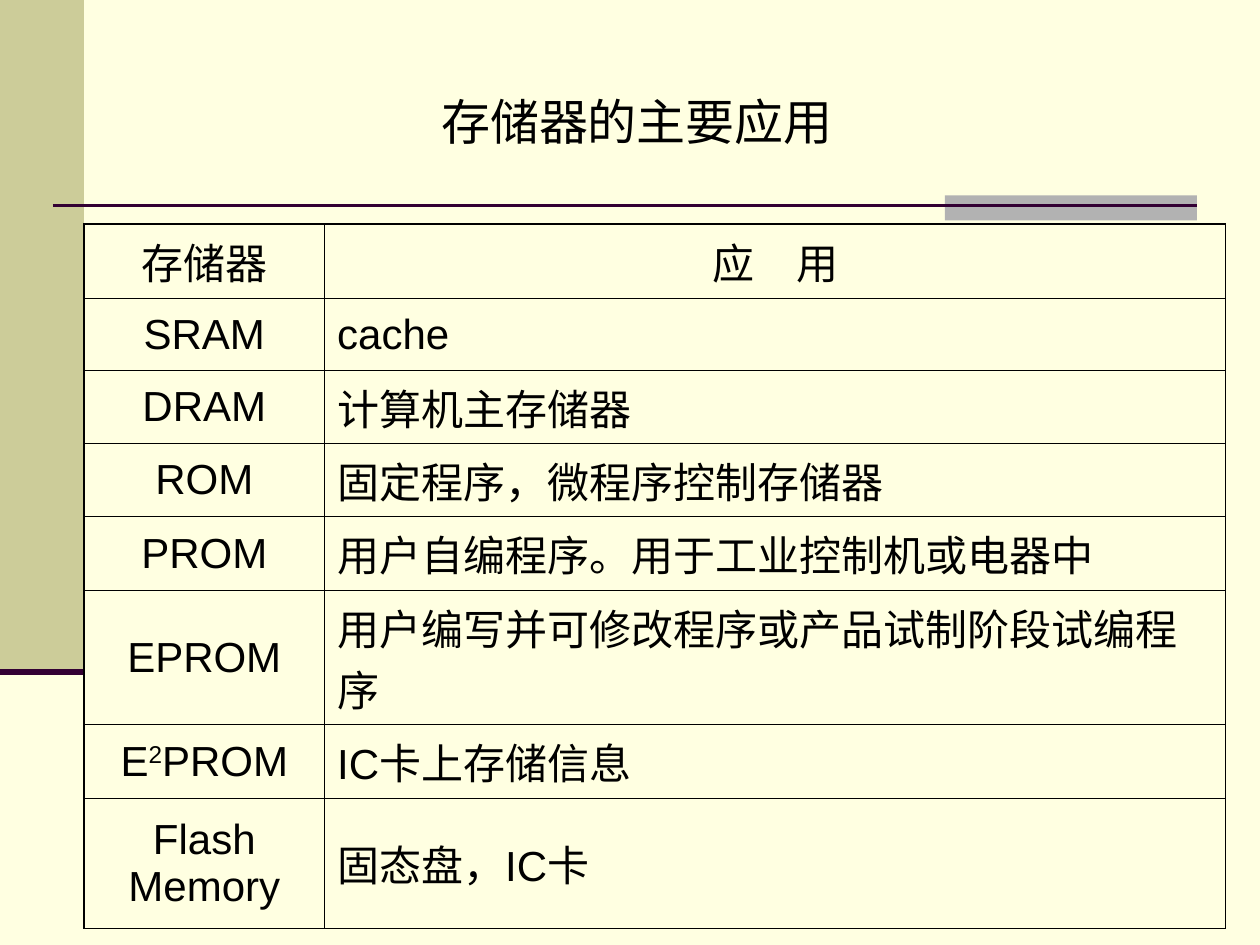
from dataclasses import dataclass

from lxml.etree import SubElement
from pptx import Presentation
from pptx.dml.color import RGBColor
from pptx.enum.shapes import MSO_CONNECTOR, MSO_SHAPE
from pptx.enum.text import MSO_ANCHOR, PP_ALIGN
from pptx.oxml.ns import qn
from pptx.util import Inches, Pt

TITLE = "存储器的主要应用"
HEADER = ("存储器", "应　用")
MEMORIES = [
    ("SRAM", "cache"),
    ("DRAM", "计算机主存储器"),
    ("ROM", "固定程序，微程序控制存储器"),
    ("PROM", "用户自编程序。用于工业控制机或电器中"),
    ("EPROM", "用户编写并可修改程序或产品试制阶段试编程序"),
    (("E", "2", "PROM"), "IC卡上存储信息"),
    ("Flash Memory", "固态盘，IC卡"),
]
COLUMN_WIDTHS = (1.91, 7.15)
ROW_HEIGHTS = (0.59, 0.57, 0.58, 0.58, 0.59, 1.06, 0.59, 1.03)
BAND_WIDTH, BAND_HEIGHT = 2 / 3, 5.33
TABLE_TOP = 1.78
RULE_Y = 1.63


@dataclass(frozen=True)
class Theme:
    background: str = "FFFFE1"
    band: str = "CCCC99"
    accent: str = "B2B2B2"
    rule: str = "330033"
    ink: str = "000000"
    latin: str = "Arial"
    chinese: str = "Noto Sans CJK SC"
    title_size: float = 28
    table_size: float = 24
    outer_border: float = 1.08
    inner_border: float = 0.45


THEME = Theme()


def add_block(page, left, top, width, height, color):
    block = page.shapes.add_shape(
        MSO_SHAPE.RECTANGLE, Inches(left), Inches(top), Inches(width), Inches(height)
    )
    block.shadow.inherit = False
    block.fill.solid()
    block.fill.fore_color.rgb = RGBColor.from_string(color)
    block.line.fill.background()


def add_rule(page, left, right, y, weight):
    rule = page.shapes.add_connector(
        MSO_CONNECTOR.STRAIGHT, Inches(left), Inches(y), Inches(right), Inches(y)
    )
    rule.line.color.rgb = RGBColor.from_string(THEME.rule)
    rule.line.width = Pt(weight)
    SubElement(rule._element.spPr, qn("a:effectLst"))


def write_text(frame, text, size, font=THEME.latin, align=PP_ALIGN.CENTER):
    frame.word_wrap = True
    para = frame.paragraphs[0]
    para.alignment = align
    parts = (text,) if isinstance(text, str) else text
    for index, part in enumerate(parts):
        span = para.add_run()
        span.text = part
        span.font.size = Pt(size)
        span.font.name = font
        span.font.color.rgb = RGBColor.from_string(THEME.ink)
        properties = span._r.get_or_add_rPr()
        SubElement(properties, qn("a:ea"), typeface=THEME.chinese)
        if index % 2:
            properties.set("baseline", "30000")


def set_borders(cell, outer_sides):
    properties = cell._tc.get_or_add_tcPr()
    for side in "LRTB":
        weight = THEME.outer_border if side in outer_sides else THEME.inner_border
        line = SubElement(properties, qn(f"a:ln{side}"), w=str(int(Pt(weight))))
        fill = SubElement(line, qn("a:solidFill"))
        SubElement(fill, qn("a:srgbClr"), val=THEME.ink)


def add_memory_table(page):
    rows = [HEADER, *MEMORIES]
    table = page.shapes.add_table(
        len(rows), len(COLUMN_WIDTHS), Inches(BAND_WIDTH), Inches(TABLE_TOP),
        Inches(sum(COLUMN_WIDTHS)), Inches(sum(ROW_HEIGHTS)),
    ).table
    table.first_row = table.horz_banding = False
    for column, width in zip(table.columns, COLUMN_WIDTHS):
        column.width = Inches(width)
    for r, (texts, height) in enumerate(zip(rows, ROW_HEIGHTS)):
        table.rows[r].height = Inches(height)
        for c, text in enumerate(texts):
            cell = table.cell(r, c)
            cell.vertical_anchor = MSO_ANCHOR.MIDDLE
            centred = r == 0 or c == 0
            write_text(cell.text_frame, text, THEME.table_size,
                       align=PP_ALIGN.CENTER if centred else PP_ALIGN.LEFT)
            outer_sides = "R" if c else "L"
            if r == 0:
                outer_sides += "T"
            if r == len(rows) - 1:
                outer_sides += "B"
            set_borders(cell, outer_sides)
            cell.fill.background()


def main():
    deck = Presentation()
    deck.slide_width, deck.slide_height = Inches(10), Inches(7.5)
    page = deck.slides.add_slide(deck.slide_layouts[6])
    page.background.fill.solid()
    page.background.fill.fore_color.rgb = RGBColor.from_string(THEME.background)

    add_block(page, 0, 0, BAND_WIDTH, BAND_HEIGHT, THEME.band)
    add_block(page, 7.5, 1.55, 2, 0.2, THEME.accent)
    add_rule(page, 0.42, 9.5, RULE_Y, 1.5)
    add_rule(page, 0, BAND_WIDTH, BAND_HEIGHT, 3.5)

    box = page.shapes.add_textbox(Inches(0.47), Inches(0.68), Inches(9.17), Inches(0.64))
    write_text(box.text_frame, TITLE, THEME.title_size, font=THEME.chinese)
    add_memory_table(page)
    deck.save("out.pptx")


if __name__ == "__main__":
    main()
